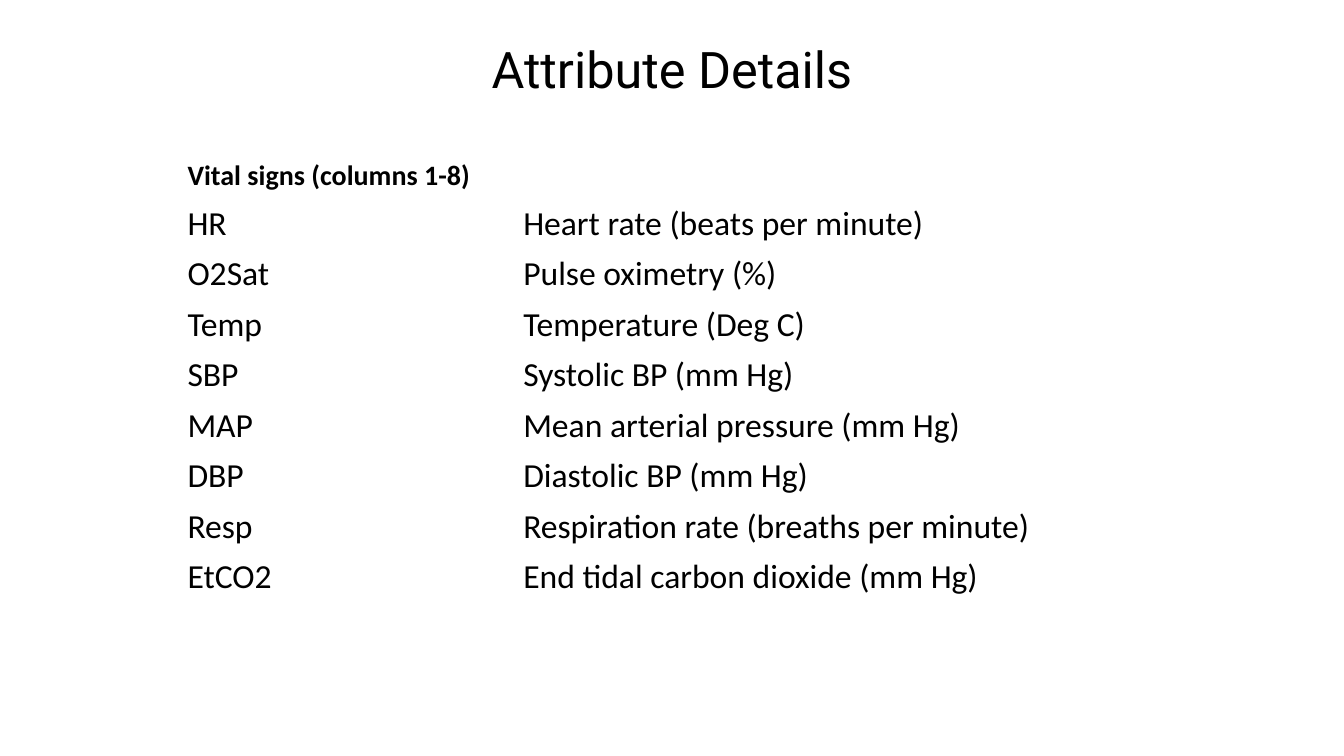
from dataclasses import dataclass

from pptx import Presentation
from pptx.dml.color import RGBColor
from pptx.enum.text import MSO_ANCHOR, PP_ALIGN
from pptx.util import Inches, Pt


@dataclass(frozen=True)
class Theme:
    """Fonts, sizes and colours of the slide."""
    ink: RGBColor = RGBColor(0, 0, 0)
    title_font: str = "Roboto"
    table_font: str = "Calibri"
    title_size: int = 36
    heading_size: int = 20
    body_size: int = 24


THEME = Theme()
HEADING = "Vital signs (columns 1-8)"
VITAL_SIGNS = [
    ("HR", "Heart rate (beats per minute)"),
    ("O2Sat", "Pulse oximetry (%)"),
    ("Temp", "Temperature (Deg C)"),
    ("SBP", "Systolic BP (mm Hg)"),
    ("MAP", "Mean arterial pressure (mm Hg)"),
    ("DBP", "Diastolic BP (mm Hg)"),
    ("Resp", "Respiration rate (breaths per minute)"),
    ("EtCO2", "End tidal carbon dioxide (mm Hg)"),
]
COLUMN_WIDTHS = (3.33, 6.49)
HEADING_HEIGHT = 0.44
ROW_HEIGHT = 0.5


def add_run(paragraph, text, font_name, size, bold=False):
    """Append one styled run to a paragraph."""
    run = paragraph.add_run()
    run.text = text
    run.font.name = font_name
    run.font.size = Pt(size)
    run.font.bold = bold
    run.font.color.rgb = THEME.ink


def add_title(slide, text):
    """Add the centred slide title."""
    title = slide.shapes.add_textbox(Inches(4.72), Inches(0.47), Inches(3.89), Inches(0.57))
    frame = title.text_frame
    frame.word_wrap = True
    frame.vertical_anchor = MSO_ANCHOR.BOTTOM
    paragraph = frame.paragraphs[0]
    paragraph.alignment = PP_ALIGN.CENTER
    paragraph.line_spacing = 0.9
    add_run(paragraph, text, THEME.title_font, THEME.title_size)


def fill_cell(cell, text, size, bold=False):
    """Write text into a cell without a background."""
    cell.vertical_anchor = MSO_ANCHOR.MIDDLE
    add_run(cell.text_frame.paragraphs[0], text, THEME.table_font, size, bold)


def add_attribute_table(slide):
    """Add the table of attributes under a merged heading row."""
    height = HEADING_HEIGHT + ROW_HEIGHT * len(VITAL_SIGNS)
    attributes = slide.shapes.add_table(
        len(VITAL_SIGNS) + 1, len(COLUMN_WIDTHS),
        Inches(1.76), Inches(1.53), Inches(sum(COLUMN_WIDTHS)), Inches(height),
    ).table
    attributes.first_row = False
    attributes.horz_banding = False
    for column, width in zip(attributes.columns, COLUMN_WIDTHS):
        column.width = Inches(width)
    for row in attributes.rows:
        row.height = Inches(ROW_HEIGHT)
    attributes.rows[0].height = Inches(HEADING_HEIGHT)
    for cell in attributes.iter_cells():
        cell.fill.background()

    heading = attributes.cell(0, 0)
    heading.merge(attributes.cell(0, 1))
    fill_cell(heading, HEADING, THEME.heading_size, bold=True)
    for row_index, entry in enumerate(VITAL_SIGNS, start=1):
        for column_index, text in enumerate(entry):
            fill_cell(attributes.cell(row_index, column_index), text, THEME.body_size)


def main():
    """Build and save the slide."""
    presentation = Presentation()
    presentation.slide_width = Inches(13.33)
    presentation.slide_height = Inches(7.5)
    slide = presentation.slides.add_slide(presentation.slide_layouts[6])
    add_title(slide, "Attribute Details")
    add_attribute_table(slide)
    presentation.save("out.pptx")


if __name__ == "__main__":
    main()
